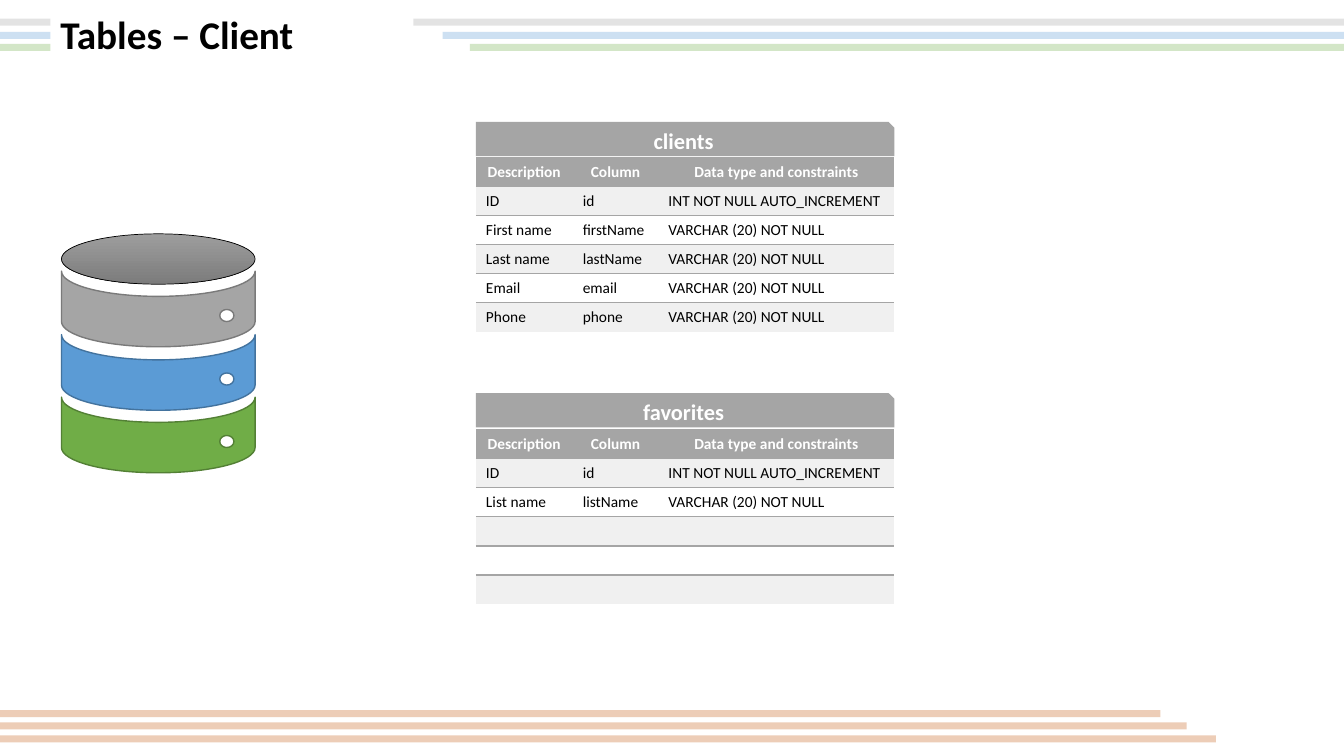
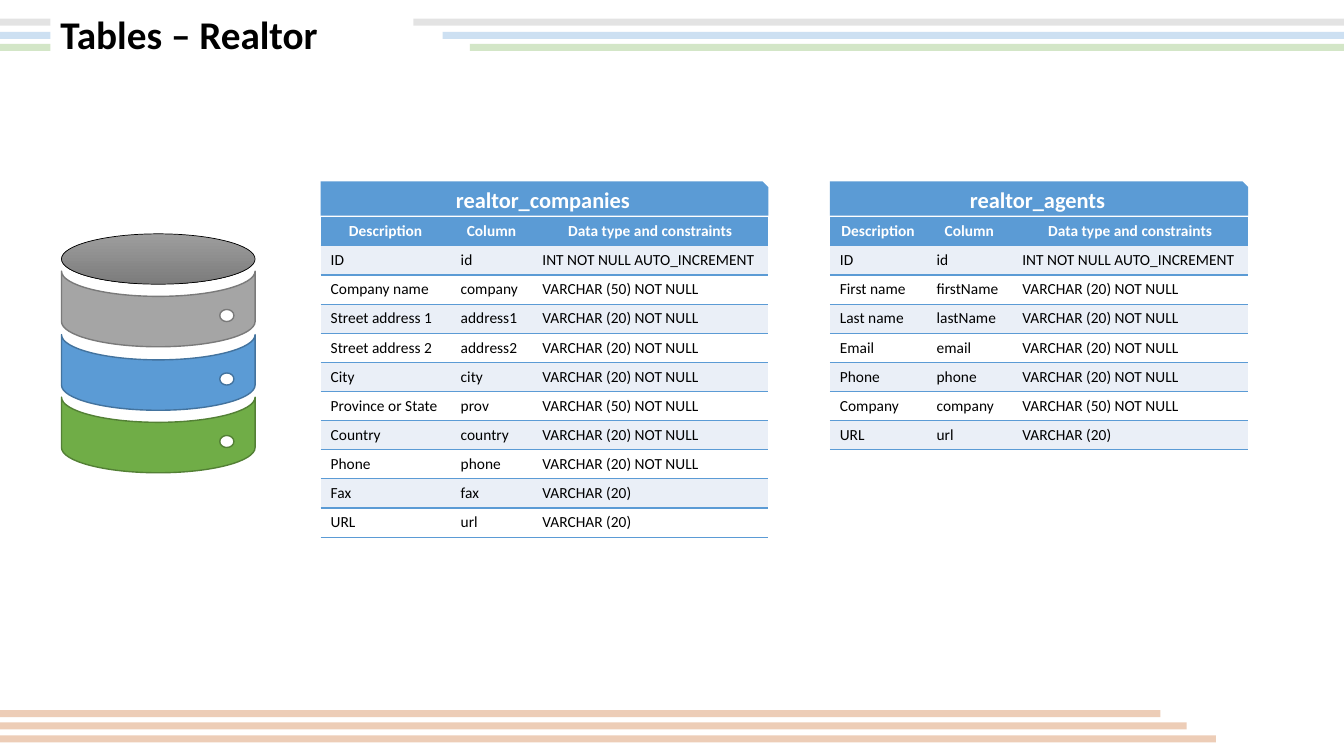
import math
from dataclasses import dataclass

from lxml import etree
from pptx import Presentation
from pptx.dml.color import RGBColor
from pptx.enum import shapes, text
from pptx.oxml import ns
from pptx.util import Inches, Pt

FONT = "Calibri"
BLACK = RGBColor(0x00, 0x00, 0x00)
WHITE = RGBColor(0xFF, 0xFF, 0xFF)
GRAY = RGBColor(0xA5, 0xA5, 0xA5)
BLUE = RGBColor(0x5B, 0x9B, 0xD5)
GREEN = RGBColor(0x70, 0xAD, 0x47)
ORANGE = RGBColor(0xC5, 0x5A, 0x11)
PALE_GRAY = RGBColor(0xF0, 0xF0, 0xF0)
PALE_BLUE = RGBColor(0xEA, 0xEF, 0xF7)
GRAY_EDGE = RGBColor(0x7A, 0x7A, 0x7A)
BLUE_EDGE = RGBColor(0x43, 0x73, 0x9E)
GREEN_EDGE = RGBColor(0x53, 0x80, 0x35)
LID_TOP = RGBColor(0x9D, 0x9D, 0x9D)
LID_BOTTOM = RGBColor(0x7C, 0x7C, 0x7C)

SLIDE_W, SLIDE_H = 13.33, 7.5
TITLE_BAR_H, ROW_H = 0.34, 0.28
DISC_X, DISC_RX, DISC_RY = 1.57, 0.96, 0.25
ARC_HANDLE = 0.55  # control length of a quarter-circle curve

Point = tuple[float, float]
Segment = list[Point]  # one point: straight line, three points: curve


@dataclass
class Stripe:
    x1: float
    x2: float
    y: float
    color: RGBColor


@dataclass
class Band:
    top: float
    fill: RGBColor
    edge: RGBColor


@dataclass
class Contour:
    start: Point
    segments: list[Segment]


@dataclass
class Theme:
    main: RGBColor
    pale: RGBColor
    bottom_rule: bool


@dataclass
class DbTable:
    name: str
    left: float
    top: float
    grid_top: float
    widths: tuple[float, ...]
    rows: list[tuple[str, ...]]


@dataclass
class Page:
    title: str
    theme: Theme
    tables: list[DbTable]


STRIPES = [
    Stripe(0, 12.06, 7.33, ORANGE),
    Stripe(0, 11.77, 7.2, ORANGE),
    Stripe(0, 11.51, 7.08, ORANGE),
]
for start, y, color in ((4.1, 0.22, GRAY), (4.39, 0.35, BLUE), (4.66, 0.47, GREEN)):
    STRIPES += [Stripe(start, SLIDE_W, y, color), Stripe(0, 0.5, y, color)]

BANDS = [
    Band(2.69, GRAY, GRAY_EDGE),
    Band(3.32, BLUE, BLUE_EDGE),
    Band(3.94, GREEN, GREEN_EDGE),
]

# Table contents
HEADER = ("Description", "Column", "Data type and constraints")
SHORT = "VARCHAR (20)"
SHORT_REQUIRED = "VARCHAR (20) NOT NULL"
LONG_REQUIRED = "VARCHAR (50) NOT NULL"
ID_ROW = ("ID", "id", "INT NOT NULL AUTO_INCREMENT")
PHONE_ROW = ("Phone", "phone", SHORT_REQUIRED)
URL_ROW = ("URL", "url", SHORT)
BLANK_ROW = ("", "", "")
PERSON_ROWS = [
    ID_ROW,
    ("First name", "firstName", SHORT_REQUIRED),
    ("Last name", "lastName", SHORT_REQUIRED),
    ("Email", "email", SHORT_REQUIRED),
    PHONE_ROW,
]
FAVORITE_ROWS = [ID_ROW, ("List name", "listName", SHORT_REQUIRED)] + [BLANK_ROW] * 3
AGENT_ROWS = PERSON_ROWS + [("Company", "company", LONG_REQUIRED), URL_ROW]
COMPANY_ROWS = [
    ID_ROW,
    ("Company name", "company", LONG_REQUIRED),
    ("Street address 1", "address1", SHORT_REQUIRED),
    ("Street address 2", "address2", SHORT_REQUIRED),
    ("City", "city", SHORT_REQUIRED),
    ("Province or State", "prov", LONG_REQUIRED),
    ("Country", "country", SHORT_REQUIRED),
    PHONE_ROW,
    ("Fax", "fax", SHORT),
    URL_ROW,
]

NARROW = (0.96, 0.85, 2.34)
WIDE = (1.29, 0.81, 2.34)
PAGES = [
    Page("Tables – Client", Theme(GRAY, PALE_GRAY, False), [
        DbTable("clients", 4.72, 1.21, 1.56, NARROW, PERSON_ROWS),
        DbTable("favorites", 4.72, 3.9, 4.26, NARROW, FAVORITE_ROWS),
    ]),
    Page("Tables – Realtor", Theme(BLUE, PALE_BLUE, True), [
        DbTable("realtor_agents", 8.23, 1.8, 2.15, NARROW, AGENT_ROWS),
        DbTable("realtor_companies", 3.18, 1.8, 2.15, WIDE, COMPANY_ROWS),
    ]),
]


def style_paragraph(p, size: float, color: RGBColor, bold: bool, align) -> None:
    p.alignment = align
    for r in p.runs:
        r.font.name, r.font.size, r.font.bold = FONT, Pt(size), bold
        r.font.color.rgb = color
    if not p.runs:
        etree.SubElement(p._p, ns.qn("a:endParaRPr"), sz=str(int(size * 100)))


def add_stripe(s, stripe: Stripe):
    line = s.shapes.add_connector(
        shapes.MSO_CONNECTOR.STRAIGHT, Inches(stripe.x1), Inches(stripe.y),
        Inches(stripe.x2), Inches(stripe.y))
    line.line.width = Pt(5)
    line.line.color.rgb = stripe.color
    rgb = next(line.element.iter(ns.qn("a:srgbClr")))
    etree.SubElement(rgb, ns.qn("a:alpha"), val="30000")
    etree.SubElement(line.element.spPr, ns.qn("a:effectLst"))
    return line


def arc(cx: float, cy: float, rx: float, ry: float, start: int, turn: int) -> list[Segment]:
    """Quarter-ellipse curves from start through turn, both in degrees."""
    d = int(math.copysign(1, turn))
    k = ARC_HANDLE * d
    segments = []
    for degrees in range(start, start + turn, 90 * d):
        a, b = math.radians(degrees), math.radians(degrees + 90 * d)
        unit = [
            (math.cos(a) - k * math.sin(a), math.sin(a) + k * math.cos(a)),
            (math.cos(b) + k * math.sin(b), math.sin(b) - k * math.cos(b)),
            (math.cos(b), math.sin(b)),
        ]
        segments.append([(cx + rx * x, cy + ry * y) for x, y in unit])
    return segments


def ellipse(cx: float, cy: float, rx: float, ry: float) -> Contour:
    return Contour((cx + rx, cy), arc(cx, cy, rx, ry, 0, 360))


def add_outline(s, contours: list[Contour], edge: RGBColor, weight: float):
    x, y = contours[0].start
    builder = s.shapes.build_freeform(Inches(x), Inches(y))
    for i, contour in enumerate(contours):
        if i:
            x, y = contour.start
            builder.move_to(Inches(x), Inches(y))
        points = [(Inches(px), Inches(py)) for seg in contour.segments for px, py in seg]
        builder.add_line_segments(points, close=True)
    sp = builder.convert_to_shape()

    # Join each three-point segment into one curve
    nodes = iter(list(sp.element.iter(ns.qn("a:lnTo"))))
    for segment in (seg for contour in contours for seg in contour.segments):
        steps = [next(nodes) for _ in segment]
        if len(steps) == 3:
            curve = etree.Element(ns.qn("a:cubicBezTo"))
            steps[0].addprevious(curve)
            for step in steps:
                curve.append(step[0])
                step.getparent().remove(step)
    sp.shadow.inherit = False
    sp.line.color.rgb = edge
    sp.line.width = Pt(weight)
    return sp


def add_database(s) -> None:
    lid = add_outline(s, [ellipse(DISC_X, 2.57, DISC_RX, DISC_RY)], BLACK, 0.5)
    lid.fill.gradient()
    lid.fill.gradient_angle = 270
    for stop, color in zip(lid.fill.gradient_stops, (LID_TOP, LID_BOTTOM)):
        stop.color.rgb = color
    for band in BANDS:
        bottom = band.top + 0.5
        upper = arc(DISC_X, band.top, DISC_RX, DISC_RY, 0, 180)
        lower = arc(DISC_X, bottom, DISC_RX, DISC_RY, 180, -180)
        side = [(DISC_X - DISC_RX, bottom)]
        wall = Contour((DISC_X + DISC_RX, band.top), upper + [side] + lower)
        hole = ellipse(2.25, band.top + 0.44, 0.07, 0.06)
        sp = add_outline(s, [hole, wall], band.edge, 1)
        sp.fill.solid()
        sp.fill.fore_color.rgb = band.fill


def set_borders(cell, top: RGBColor | None, bottom: RGBColor | None) -> None:
    tc_pr = cell._tc.get_or_add_tcPr()
    sides = (("L", None), ("R", None), ("T", top), ("B", bottom))
    for i, (side, color) in enumerate(sides):
        ln = etree.Element(ns.qn(f"a:ln{side}"), w=str(Pt(1)))
        if color is None:
            etree.SubElement(ln, ns.qn("a:noFill"))
        else:
            fill = etree.SubElement(ln, ns.qn("a:solidFill"))
            etree.SubElement(fill, ns.qn("a:srgbClr"), val=str(color))
        tc_pr.insert(i, ln)


def add_db_table(s, spec: DbTable, theme: Theme) -> None:
    left, width = Inches(spec.left), Inches(sum(spec.widths))
    # Name bar
    bar = s.shapes.add_shape(shapes.MSO_SHAPE.SNIP_1_RECTANGLE, left, Inches(spec.top),
                             width, Inches(TITLE_BAR_H))
    bar.shadow.inherit = False
    bar.fill.solid()
    bar.fill.fore_color.rgb = theme.main
    bar.line.fill.background()
    bar.text_frame.text = spec.name
    bar.text_frame.vertical_anchor = text.MSO_ANCHOR.MIDDLE
    style_paragraph(bar.text_frame.paragraphs[0], 16, WHITE, True, text.PP_ALIGN.CENTER)

    # Column grid
    rows = [HEADER] + spec.rows
    table = s.shapes.add_table(len(rows), len(HEADER), left, Inches(spec.grid_top),
                               width, Inches(ROW_H * len(rows))).table
    table.first_row = table.horz_banding = False
    for column, column_width in zip(table.columns, spec.widths):
        column.width = Inches(column_width)
    for i, row in enumerate(rows):
        is_header, is_last = i == 0, i == len(rows) - 1
        for j, value in enumerate(row):
            cell = table.cell(i, j)
            cell.text_frame.text = value
            cell.vertical_anchor = text.MSO_ANCHOR.MIDDLE
            style_paragraph(
                cell.text_frame.paragraphs[0], 11, WHITE if is_header else BLACK, is_header,
                text.PP_ALIGN.CENTER if is_header else text.PP_ALIGN.LEFT)
            cell.fill.solid()
            cell.fill.fore_color.rgb = (
                theme.main if is_header else theme.pale if i % 2 else WHITE)
            set_borders(cell, None if is_header else theme.main,
                        None if is_last and not theme.bottom_rule else theme.main)


def set_title(s, title: str) -> None:
    sp = s.shapes.title
    sp.left, sp.top, sp.width, sp.height = Inches(0.5), Inches(0.1), Inches(3.95), Inches(0.53)
    tf = sp.text_frame
    tf.text = title
    tf.word_wrap = True
    tf.auto_size = text.MSO_AUTO_SIZE.NONE
    tf.vertical_anchor = text.MSO_ANCHOR.MIDDLE
    p = tf.paragraphs[0]
    p.line_spacing = 0.9
    style_paragraph(p, 28, BLACK, True, text.PP_ALIGN.LEFT)


prs = Presentation()
prs.slide_width, prs.slide_height = Inches(SLIDE_W), Inches(SLIDE_H)
layout = prs.slide_layouts.get_by_name("Title Only")
slides = [prs.slides.add_slide(layout) for _ in PAGES]

# Stripes are drawn once and moved to the shared layout
for stripe in STRIPES:
    layout.shapes.element.append(add_stripe(slides[0], stripe).element)

for s, page in zip(slides, PAGES):
    set_title(s, page.title)
    add_database(s)
    for spec in page.tables:
        add_db_table(s, spec, page.theme)

prs.save("out.pptx")
